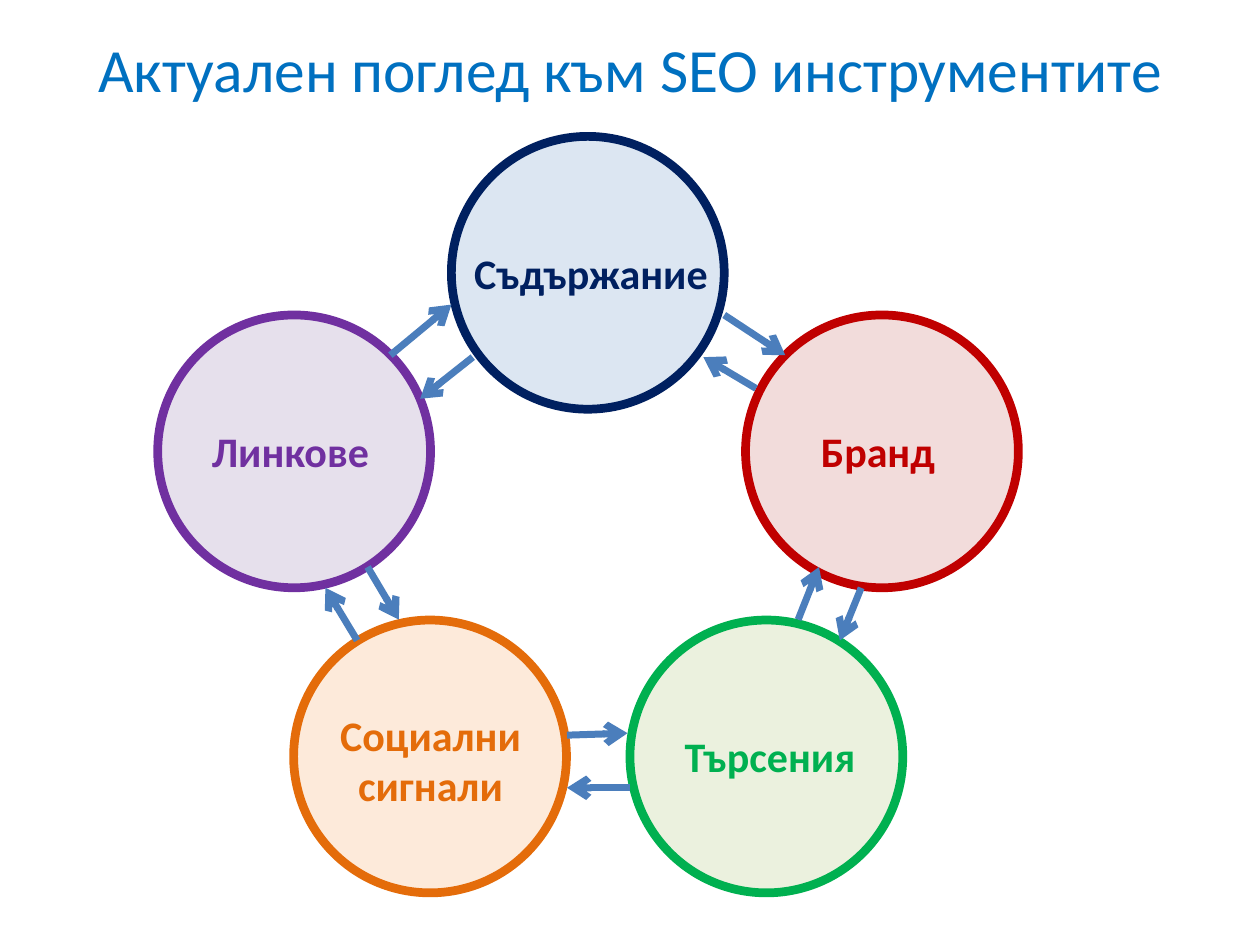
from lxml.etree import SubElement
from pptx import Presentation
from pptx.dml.color import RGBColor
from pptx.enum.shapes import MSO_CONNECTOR, MSO_SHAPE
from pptx.enum.text import MSO_ANCHOR, MSO_AUTO_SIZE, PP_ALIGN
from pptx.oxml.ns import qn
from pptx.util import Cm, Pt

THEME = {
    "font": "Calibri",
    "title_size": 35.1, "label_size": 24,
    "title": "0070C0", "arrow": "4B7EBC",
    "circle_line": 5, "arrow_line": 4,
    "searches": ("00B050", "EBF1DE"),
    "social": ("E46C0A", "FDEADA"),
    "content": ("002060", "DCE6F2"),
    "brand": ("C00000", "F2DCDB"),
    "links": ("7030A0", "E6E0EC"),
}
DIAMETER = 5.5


def add_text(shapes, box, lines, size, color, align, bold=False):
    text_box = shapes.add_textbox(*map(Cm, box))
    frame = text_box.text_frame
    frame.word_wrap = True
    frame.vertical_anchor = MSO_ANCHOR.TOP
    for index, line in enumerate(lines):
        paragraph = frame.add_paragraph() if index else frame.paragraphs[0]
        paragraph.alignment = align
        run = paragraph.add_run()
        run.text = line
        run.font.name = THEME["font"]
        run.font.size = Pt(size)
        run.font.bold = bold
        run.font.color.rgb = RGBColor.from_string(color)
    return frame


presentation = Presentation()
presentation.slide_width = Cm(25.4)
presentation.slide_height = Cm(19.05)
slide = presentation.slides.add_slide(presentation.slide_layouts[6])

# Title
title_frame = add_text(slide.shapes, (0.64, 0.43, 24.13, 2.54),
                       ["Актуален поглед към SEO инструментите"],
                       THEME["title_size"], THEME["title"], PP_ALIGN.CENTER)
title_frame.margin_top = Cm(0.2)

# Circles with labels: theme key, circle corner, label box, lines, alignment
circles = [
    ("searches", (12.7, 12.5), (13.55, 14.61, 4.66, 1.28), ["Търсения"], PP_ALIGN.LEFT),
    ("social", (5.92, 12.5), (6.35, 14.18, 4.66, 2.31), ["Социални", "сигнали"], PP_ALIGN.CENTER),
    ("content", (9.1, 2.75), (9.31, 4.87, 6.35, 1.28), ["Съдържание"], PP_ALIGN.LEFT),
    ("brand", (15.03, 6.35), (16.3, 8.46, 3.18, 1.28), ["Бранд"], PP_ALIGN.LEFT),
    ("links", (3.18, 6.35), (4.02, 8.46, 4.66, 1.28), ["Линкове"], PP_ALIGN.LEFT),
]
for key, (left, top), label_box, lines, align in circles:
    line_color, fill_color = THEME[key]
    group = slide.shapes.add_group_shape()
    circle = group.shapes.add_shape(MSO_SHAPE.OVAL, Cm(left), Cm(top),
                                    Cm(DIAMETER), Cm(DIAMETER))
    circle.shadow.inherit = False
    circle.fill.solid()
    circle.fill.fore_color.rgb = RGBColor.from_string(fill_color)
    circle.line.color.rgb = RGBColor.from_string(line_color)
    circle.line.width = Pt(THEME["circle_line"])
    label_frame = add_text(group.shapes, label_box, lines, THEME["label_size"],
                           line_color, align, bold=True)
    label_frame.auto_size = MSO_AUTO_SIZE.SHAPE_TO_FIT_TEXT

# Arrows, a pair between each two neighbours: start x, y, end x, y
arrows = [
    (14.6, 6.35, 15.83, 7.16), (15.24, 7.83, 14.18, 7.2),      # content, brand
    (7.41, 11.43, 8.04, 12.49), (7.2, 12.91, 6.56, 11.85),     # links, social
    (17.36, 11.85, 16.93, 12.91), (16.09, 12.49, 16.51, 11.43),  # brand, searches
    (11.43, 14.82, 12.65, 14.78), (12.7, 15.88, 11.43, 15.88),  # social, searches
    (7.87, 7.16, 9.1, 6.14), (9.53, 7.2, 8.47, 8.04),          # links, content
]
for ends in arrows:
    arrow = slide.shapes.add_connector(MSO_CONNECTOR.STRAIGHT, *map(Cm, ends))
    arrow.line.color.rgb = RGBColor.from_string(THEME["arrow"])
    arrow.line.width = Pt(THEME["arrow_line"])
    SubElement(arrow.line._get_or_add_ln(), qn("a:tailEnd"), type="arrow")
    SubElement(arrow._element.spPr, qn("a:effectLst"))

presentation.save("out.pptx")
